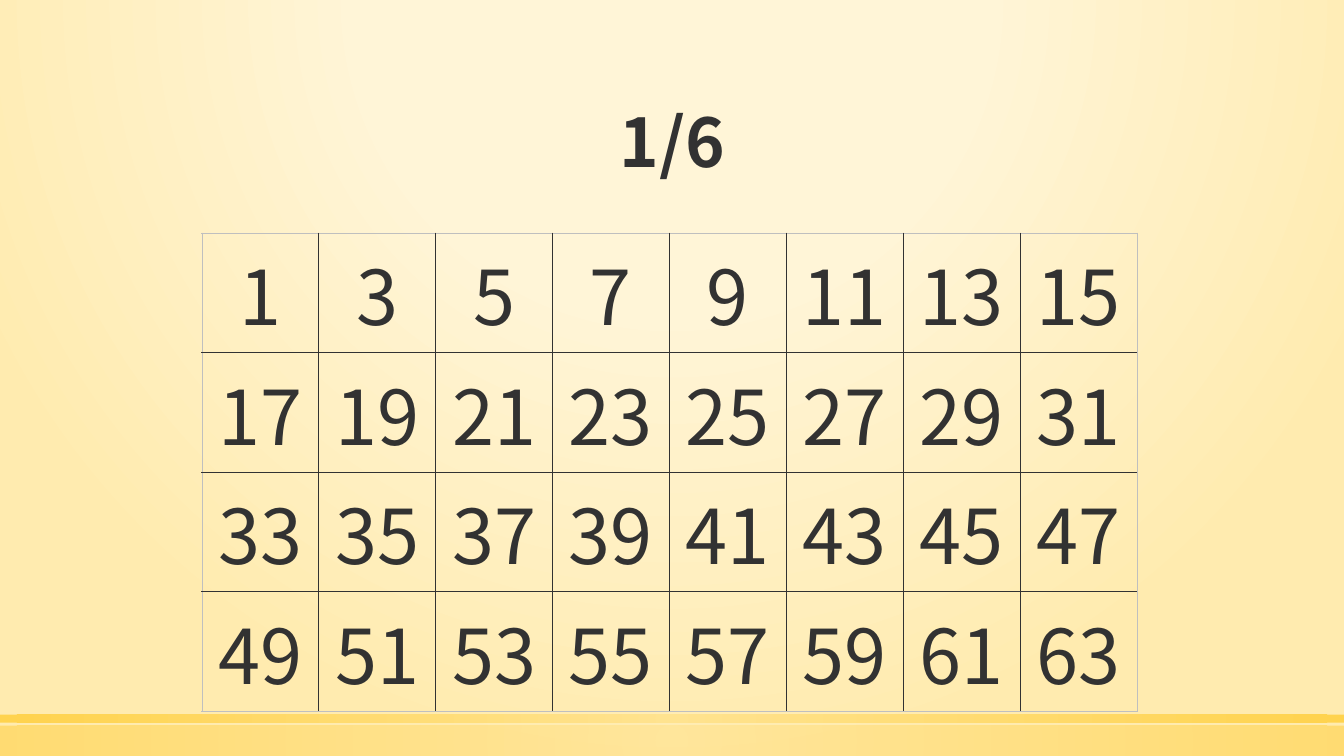
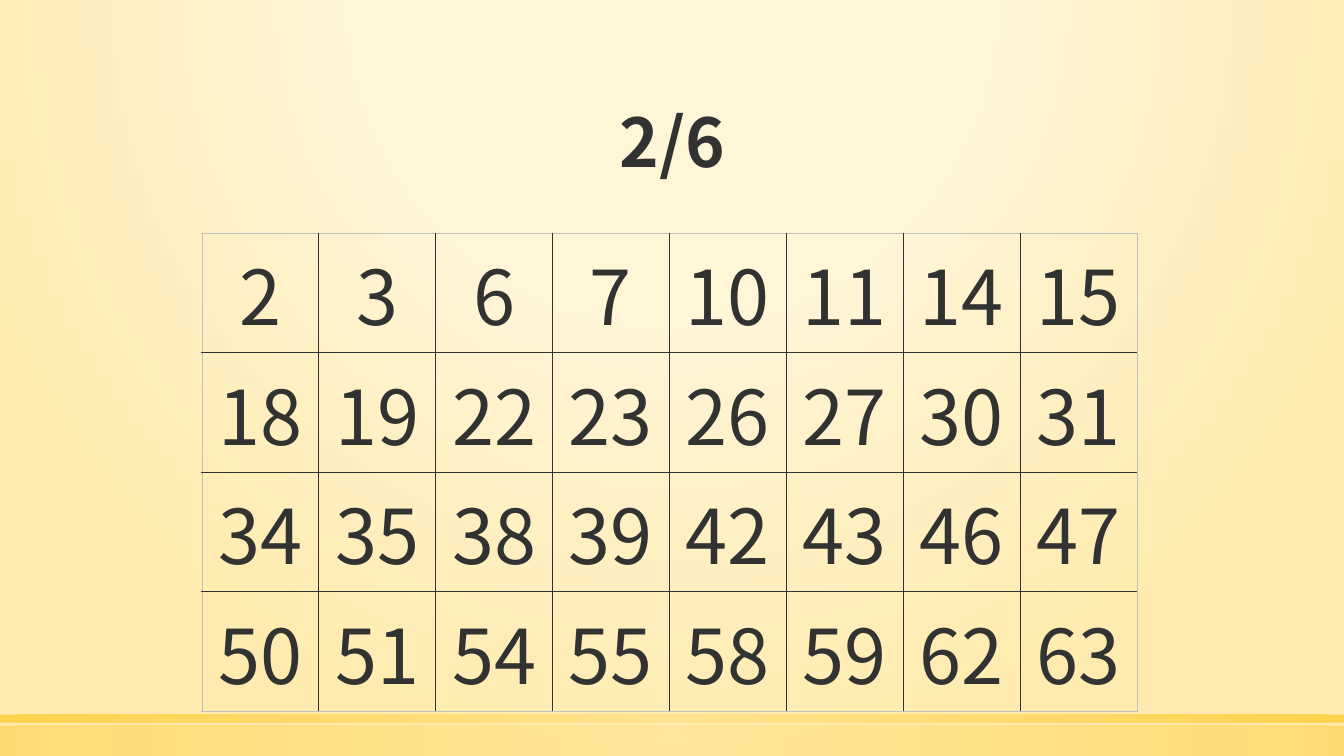
from lxml.etree import SubElement
from pptx import Presentation
from pptx.dml.color import RGBColor
from pptx.enum.shapes import MSO_SHAPE as Shape
from pptx.enum.text import MSO_ANCHOR as Anchor, MSO_AUTO_SIZE as AutoSize, PP_ALIGN as Align
from pptx.oxml.ns import qn
from pptx.util import Inches, Pt

# Content: each card lists the numbers whose binary form holds its bit
CARDS = [("1/6", 1), ("2/6", 2)]
LARGEST = 63
ROWS, COLUMNS = 4, 8

# Shared style
FONT, INK, EDGE = "Noto Sans CJK SC", "323232", "BFBFBF"
TITLE_FONT = {"name": FONT, "size": Pt(48), "bold": True}
NUMBER_FONT = {"name": FONT, "size": Pt(54), "bold": False}
WIDTH, HEIGHT = 13.33, 7.5
TITLE_BOX = {"left": 1.47, "top": 0.51, "width": 10.4, "height": 1.35}
GRID_LEFT, GRID_TOP, COLUMN_WIDTH, ROW_HEIGHT = 2, 2.31, 1.16, 1.18

# Gradient stops: position, colour, opacity (all but the colour in percent)
BACKDROP_STOPS = [(0, "FFF5D7", 59), (40, "FFF5D7", 66), (100, "FFEBAF", 100)]
BACKDROP_FOCUS = {"l": 50, "t": -80, "r": 50, "b": 180}
BAND_FOCUS = {"l": 50, "t": 50, "r": 50, "b": 50}
BANDS = [(7.2, 0.3, 50), (7.09, 0.08, 80)]  # top, height, opacity


def color(hex_text):
    return RGBColor.from_string(hex_text)


def percent(value):
    return str(value * 1000)


def set_font(font, style):
    for name, value in style.items():
        setattr(font, name, value)
    font.color.rgb = color(INK)


def radial_fill(fill, holder, stops, focus):
    """Fill the holder with a circular gradient."""
    fill.solid()
    solid = holder.find(qn("a:solidFill"))
    gradient = holder.makeelement(qn("a:gradFill"), {"rotWithShape": "1"})
    stop_list = SubElement(gradient, qn("a:gsLst"))
    for position, hex_text, opacity in stops:
        stop = SubElement(stop_list, qn("a:gs"), pos=percent(position))
        tint = SubElement(stop, qn("a:srgbClr"), val=hex_text)
        if opacity < 100:
            SubElement(tint, qn("a:alpha"), val=percent(opacity))
    circle = SubElement(gradient, qn("a:path"), path="circle")
    SubElement(circle, qn("a:fillToRect"), {side: percent(v) for side, v in focus.items()})
    holder.replace(solid, gradient)


def style_master(master, slide):
    """Give the master its backdrop and the bands along the bottom."""
    fill = master.background.fill
    fill.solid()
    radial_fill(fill, master.element.find(".//" + qn("p:bgPr")), BACKDROP_STOPS, BACKDROP_FOCUS)
    for index, (top, height, opacity) in enumerate(BANDS):
        band = slide.shapes.add_shape(Shape.RECTANGLE, 0, Inches(top), Inches(WIDTH), Inches(height))
        band.shadow.inherit = False
        band.line.fill.background()
        stops = [(0, "FFE186", opacity), (100, "FFCD36", opacity)]
        radial_fill(band.fill, band.element.spPr, stops, BAND_FOCUS)
        # Move the band from the slide to the back of the master
        master.shapes.element.insert(2 + index, band.element)


def add_title(slide, text):
    title = slide.shapes.title
    for name, value in TITLE_BOX.items():
        setattr(title, name, Inches(value))
    frame = title.text_frame
    frame.text = text
    frame.auto_size = AutoSize.NONE
    frame.vertical_anchor = Anchor.BOTTOM
    paragraph = frame.paragraphs[0]
    paragraph.alignment = Align.CENTER
    paragraph.line_spacing = 0.9
    set_font(paragraph.runs[0].font, TITLE_FONT)


def set_borders(cell, row, column):
    """Dark lines inside the grid, a faint hairline around it."""
    outer = {"L": column == 0, "R": column == COLUMNS - 1, "T": row == 0, "B": row == ROWS - 1}
    properties = cell._tc.get_or_add_tcPr()
    for index, (side, is_outer) in enumerate(outer.items()):
        points, hex_text = (0.25, EDGE) if is_outer else (1, INK)
        line = properties.makeelement(qn("a:ln" + side), {"w": str(Pt(points))})
        SubElement(SubElement(line, qn("a:solidFill")), qn("a:srgbClr"), val=hex_text)
        properties.insert(index, line)


def add_number_grid(slide, numbers):
    grid = slide.shapes.add_table(
        ROWS, COLUMNS, Inches(GRID_LEFT), Inches(GRID_TOP),
        Inches(COLUMN_WIDTH * COLUMNS), Inches(ROW_HEIGHT * ROWS)).table
    grid.first_row = grid.horz_banding = False
    for index, number in enumerate(numbers):
        row, column = divmod(index, COLUMNS)
        cell = grid.cell(row, column)
        cell.text = str(number)
        cell.fill.background()
        set_borders(cell, row, column)
        paragraph = cell.text_frame.paragraphs[0]
        paragraph.alignment = Align.CENTER
        set_font(paragraph.runs[0].font, NUMBER_FONT)


def main():
    deck = Presentation()
    deck.slide_width, deck.slide_height = Inches(WIDTH), Inches(HEIGHT)
    title_only = deck.slide_layouts[5]
    for label, bit in CARDS:
        slide = deck.slides.add_slide(title_only)
        add_title(slide, label)
        add_number_grid(slide, [n for n in range(1, LARGEST + 1) if n & bit])
    style_master(deck.slide_master, deck.slides[0])
    deck.save("out.pptx")


if __name__ == "__main__":
    main()
